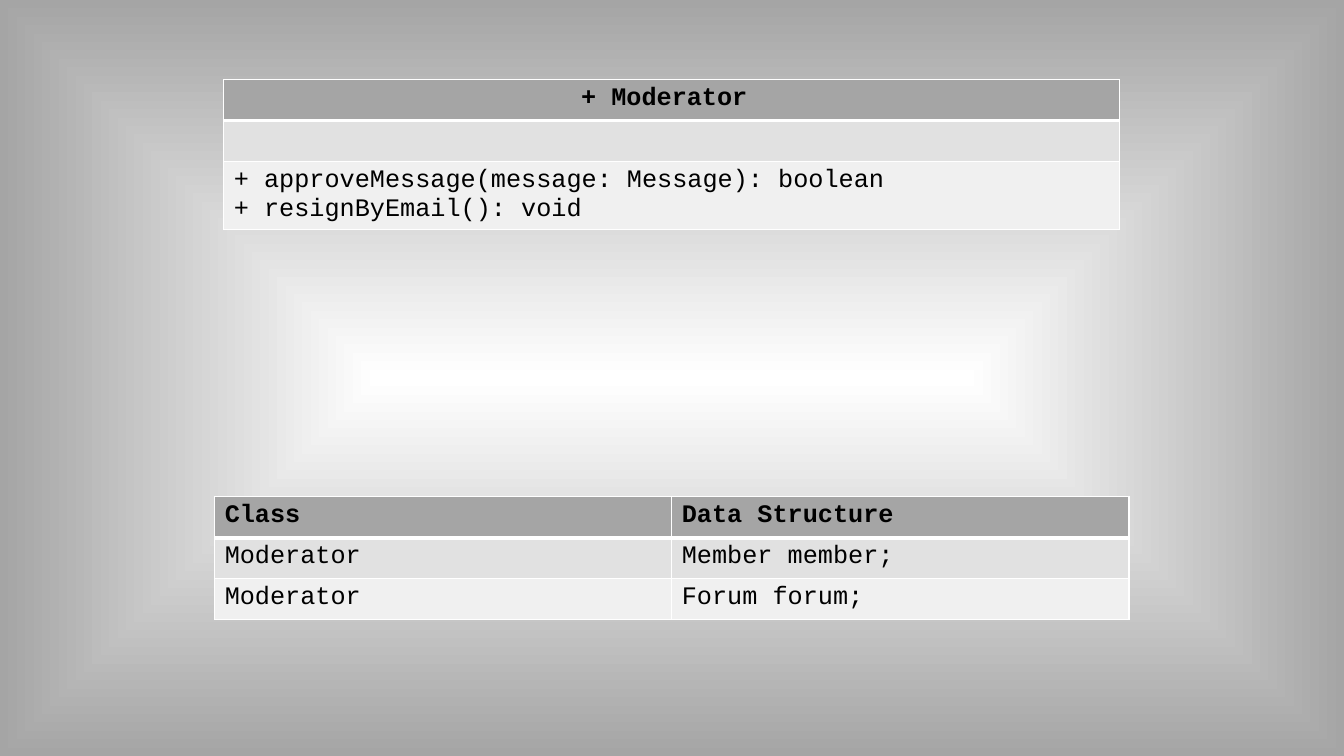
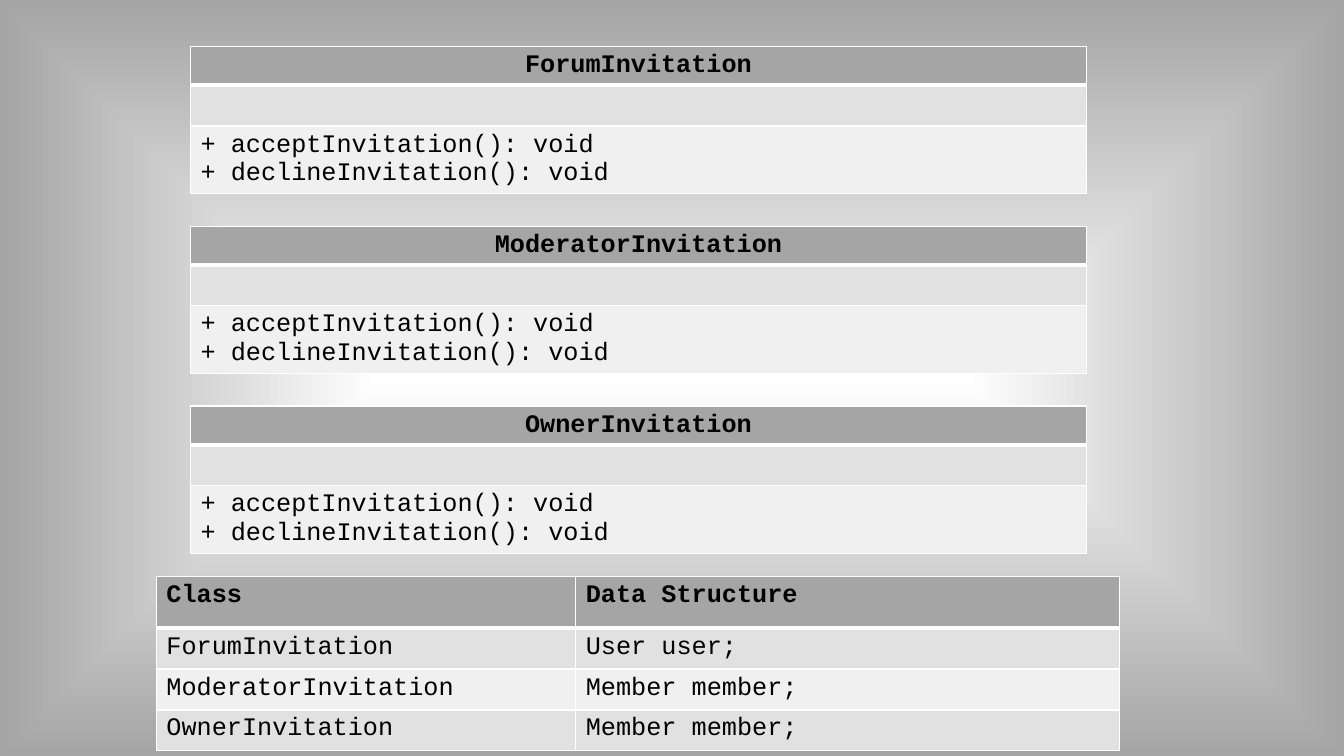
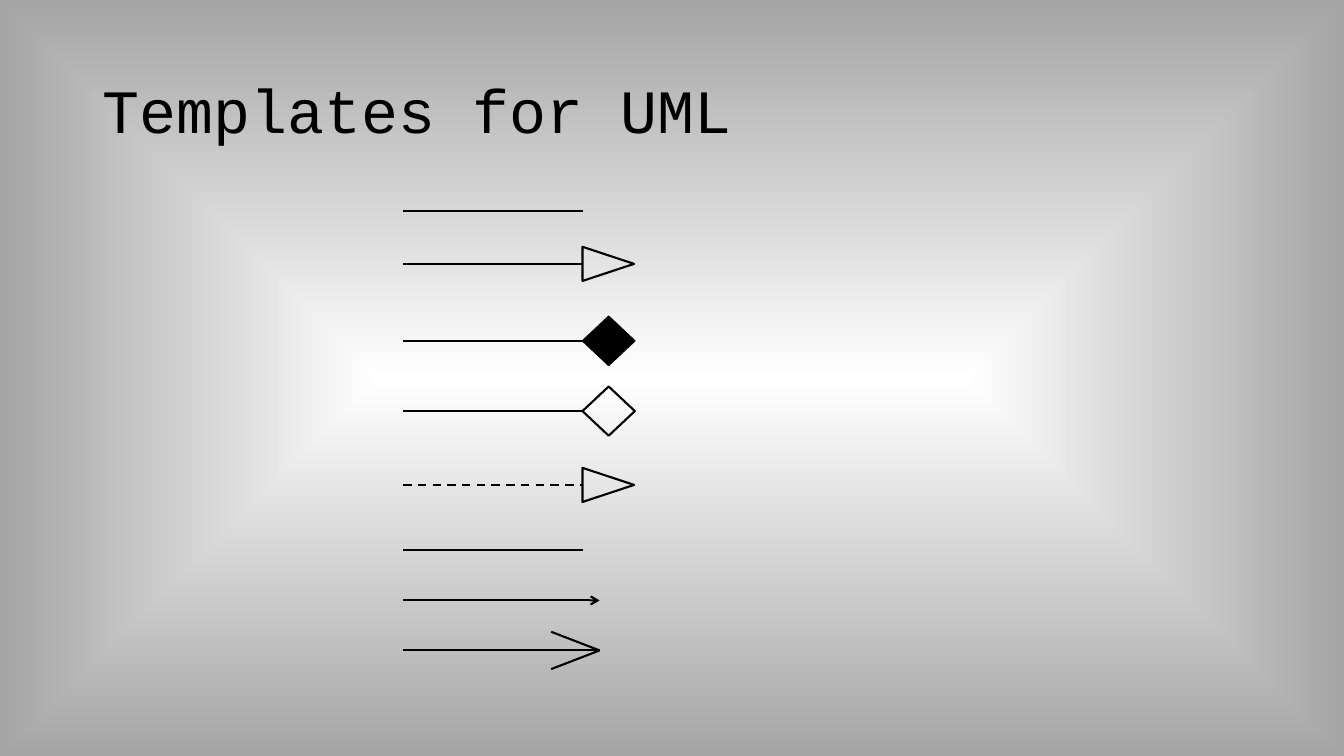
from dataclasses import dataclass
from typing import Any, Optional, Sequence

from lxml import etree
from pptx import Presentation
from pptx.dml.color import RGBColor
from pptx.enum.dml import MSO_LINE_DASH_STYLE
from pptx.enum.shapes import MSO_CONNECTOR_TYPE, MSO_SHAPE
from pptx.enum.text import MSO_ANCHOR, MSO_AUTO_SIZE, PP_ALIGN
from pptx.oxml.ns import qn
from pptx.util import Cm, Pt

DASH = MSO_LINE_DASH_STYLE.DASH
STRAIGHT = MSO_CONNECTOR_TYPE.STRAIGHT
TRIANGLE = MSO_SHAPE.ISOSCELES_TRIANGLE
DIAMOND = MSO_SHAPE.DIAMOND
MIDDLE = MSO_ANCHOR.MIDDLE
NO_AUTOFIT = MSO_AUTO_SIZE.NONE
LEFT = PP_ALIGN.LEFT
CENTER = PP_ALIGN.CENTER
TITLE_ONLY_LAYOUT = 5
BLANK_LAYOUT = 6


@dataclass(frozen=True)
class Theme:
    font: str = "Courier New"
    title_size: float = 44
    body_size: float = 18
    ink: str = "000000"
    paper: str = "FFFFFF"
    header: str = "A5A5A5"
    bands: tuple[str, str] = ("E1E1E1", "F0F0F0")
    border: float = 1
    header_border: float = 3
    line: float = 1.5


THEME = Theme()


# Lengths are in centimetres
@dataclass(frozen=True)
class TableBox:
    left: float
    top: float
    columns: tuple[float, ...]
    rows: tuple[float, ...]
    cells: tuple[tuple[str, ...], ...]
    header_align: Any = LEFT


@dataclass(frozen=True)
class Relation:
    y: float
    end: float = 14.68
    dash: bool = False
    arrow: bool = False
    marker: Any = None
    marker_fill: Optional[str] = None
    marker_line: float = THEME.line


ROW = 1.03
METHODS_ROW = 1.71
CLASS_WIDTH = 22.58
DATA_HEADER = ("Class", "Data Structure")


def class_box(left: float, top: float, name: str, methods: Sequence[str],
              header_height: float = ROW) -> TableBox:
    """A UML class: name, empty attributes and methods."""
    return TableBox(left, top, (CLASS_WIDTH,), (header_height, ROW, METHODS_ROW),
                    ((name,), ("",), ("\n".join(methods),)), CENTER)


# Shared look
def set_background(master: Any) -> None:
    fill = master.background.fill
    fill.gradient()
    for stop, position, color in zip(fill.gradient_stops, (0, 1),
                                     (THEME.paper, THEME.header)):
        stop.position = position
        stop.color.rgb = RGBColor.from_string(color)
    gradient = master.element.find(".//" + qn("a:gradFill"))
    linear = gradient.find(qn("a:lin"))
    if linear is not None:
        gradient.remove(linear)
    rectangle = etree.SubElement(gradient, qn("a:path"), {"path": "rect"})
    etree.SubElement(rectangle, qn("a:fillToRect"),
                     {side: "50000" for side in "ltrb"})


def write_text(frame: Any, text: str, *, size: float = THEME.body_size,
               bold: bool = False, align: Any = LEFT,
               spacing: Optional[float] = None) -> None:
    for index, line in enumerate(text.split("\n")):
        paragraph = frame.add_paragraph() if index else frame.paragraphs[0]
        paragraph.alignment = align
        paragraph.line_spacing = spacing
        if line:
            run = paragraph.add_run()
            run.text = line
            run.font.name = THEME.font
            run.font.size = Pt(size)
            run.font.bold = bold
            run.font.color.rgb = RGBColor.from_string(THEME.ink)


# Tables
def set_borders(cell: Any, top: float, bottom: float) -> None:
    properties = cell._tc.get_or_add_tcPr()
    widths = {"L": THEME.border, "R": THEME.border, "T": top, "B": bottom}
    for index, (side, width) in enumerate(widths.items()):
        line = etree.Element(qn(f"a:ln{side}"), {"w": str(int(Pt(width)))})
        solid = etree.SubElement(line, qn("a:solidFill"))
        etree.SubElement(solid, qn("a:srgbClr"), {"val": THEME.paper})
        properties.insert(index, line)


def draw_table(slide: Any, box: TableBox) -> None:
    frame = slide.shapes.add_table(
        len(box.rows), len(box.columns), Cm(box.left), Cm(box.top),
        Cm(sum(box.columns)), Cm(sum(box.rows)))
    table = frame.table
    for column, width in zip(table.columns, box.columns):
        column.width = Cm(width)
    for index, (row, height, texts) in enumerate(zip(table.rows, box.rows, box.cells)):
        row.height = Cm(height)
        is_header = index == 0
        color = THEME.header if is_header else THEME.bands[(index - 1) % 2]
        top = THEME.header_border if index == 1 else THEME.border
        bottom = THEME.header_border if is_header else THEME.border
        for cell, text in zip(row.cells, texts):
            cell.fill.solid()
            cell.fill.fore_color.rgb = RGBColor.from_string(color)
            set_borders(cell, top, bottom)
            write_text(cell.text_frame, text, bold=is_header,
                       align=box.header_align if is_header else LEFT)


# UML relations
LINE_START = 10.16
TRIANGLE_SIZE = (0.86, 1.3)
DIAMOND_SIZE = (1.32, 1.24)


def style_line(line: Any, width: float = THEME.line) -> None:
    line.color.rgb = RGBColor.from_string(THEME.ink)
    line.width = Pt(width)


def draw_line(shapes: Any, start: tuple[float, float], end: tuple[float, float],
              *, dash: bool = False, arrow: bool = False) -> None:
    connector = shapes.add_connector(STRAIGHT, *(Cm(value) for value in start + end))
    style_line(connector.line)
    if dash:
        connector.line.dash_style = DASH
    properties = connector.element.spPr
    if arrow:
        etree.SubElement(properties.find(qn("a:ln")), qn("a:tailEnd"), {"type": "arrow"})
    etree.SubElement(properties, qn("a:effectLst"))


def draw_marker(slide: Any, relation: Relation) -> None:
    """A triangle pointing right, or a diamond, that starts at the line's end."""
    is_triangle = relation.marker == TRIANGLE
    width, height = TRIANGLE_SIZE if is_triangle else DIAMOND_SIZE
    center = relation.end + (height if is_triangle else width) / 2
    shape = slide.shapes.add_shape(
        relation.marker, Cm(center - width / 2), Cm(relation.y - height / 2),
        Cm(width), Cm(height))
    shape.rotation = 90 if is_triangle else 0
    shape.shadow.inherit = False
    if relation.marker_fill:
        shape.fill.solid()
        shape.fill.fore_color.rgb = RGBColor.from_string(relation.marker_fill)
    else:
        shape.fill.background()
    style_line(shape.line, relation.marker_line)


def draw_relation(slide: Any, relation: Relation) -> None:
    draw_line(slide.shapes, (LINE_START, relation.y), (relation.end, relation.y),
              dash=relation.dash, arrow=relation.arrow)
    if relation.marker is not None:
        draw_marker(slide, relation)


def draw_wide_arrow(slide: Any, y: float, tip: float) -> None:
    shapes = slide.shapes.add_group_shape().shapes
    draw_line(shapes, (LINE_START, y), (tip, y))
    for offset in (0.47, -0.47):
        draw_line(shapes, (tip - 1.22, y + offset), (tip, y))


# Content
INVITATION_METHODS = ("+ acceptInvitation(): void", "+ declineInvitation(): void")
INVITATIONS = ("ForumInvitation", "ModeratorInvitation", "OwnerInvitation")
INVITATION_DATA = ("User user;", "Member member;", "Member member;")

MODERATOR_TABLES = (
    TableBox(5.41, 12.52, (11.52, 11.52), (ROW,) * 3,
             (DATA_HEADER, ("Moderator", "Member member;"),
              ("Moderator", "Forum forum;"))),
    class_box(5.64, 2.01, "+ Moderator ",
              ("+ approveMessage(message: Message): boolean", "+ resignByEmail(): void")),
)
INVITATION_TABLES = (
    TableBox(3.94, 14.53, (10.57, 13.7), (1.3,) + (ROW,) * 3,
             (DATA_HEADER, *zip(INVITATIONS, INVITATION_DATA))),
    *(class_box(4.8, 1.17 + 4.53 * index, name, INVITATION_METHODS, 0.97)
      for index, name in enumerate(INVITATIONS)),
)
ARROW_TIP = 15.11
RELATIONS = (
    Relation(5.31),
    Relation(6.65, marker=TRIANGLE),
    Relation(8.59, marker=DIAMOND, marker_fill=THEME.ink, marker_line=1),
    Relation(10.36, marker=DIAMOND),
    Relation(12.22, dash=True, marker=TRIANGLE),
    Relation(13.87),
    Relation(15.13, end=ARROW_TIP, arrow=True),
)


# Slides
def add_table_slide(presentation: Any, boxes: Sequence[TableBox]) -> None:
    slide = presentation.slides.add_slide(presentation.slide_layouts[BLANK_LAYOUT])
    for box in boxes:
        draw_table(slide, box)


def add_relation_slide(presentation: Any) -> None:
    slide = presentation.slides.add_slide(presentation.slide_layouts[TITLE_ONLY_LAYOUT])
    title = slide.shapes.title
    title.left, title.top, title.width, title.height = (
        Cm(value) for value in (2.34, 1.02, 29.21, 3.68))
    title.text_frame.vertical_anchor = MIDDLE
    title.text_frame.auto_size = NO_AUTOFIT
    title.text_frame.word_wrap = True
    write_text(title.text_frame, "Templates for UML", size=THEME.title_size, spacing=0.9)
    for relation in RELATIONS:
        draw_relation(slide, relation)
    draw_wide_arrow(slide, 16.39, ARROW_TIP)


def main() -> None:
    presentation = Presentation()
    presentation.slide_width, presentation.slide_height = Cm(33.87), Cm(19.05)
    set_background(presentation.slide_master)
    add_table_slide(presentation, MODERATOR_TABLES)
    add_table_slide(presentation, INVITATION_TABLES)
    add_relation_slide(presentation)
    presentation.save("out.pptx")


main()
